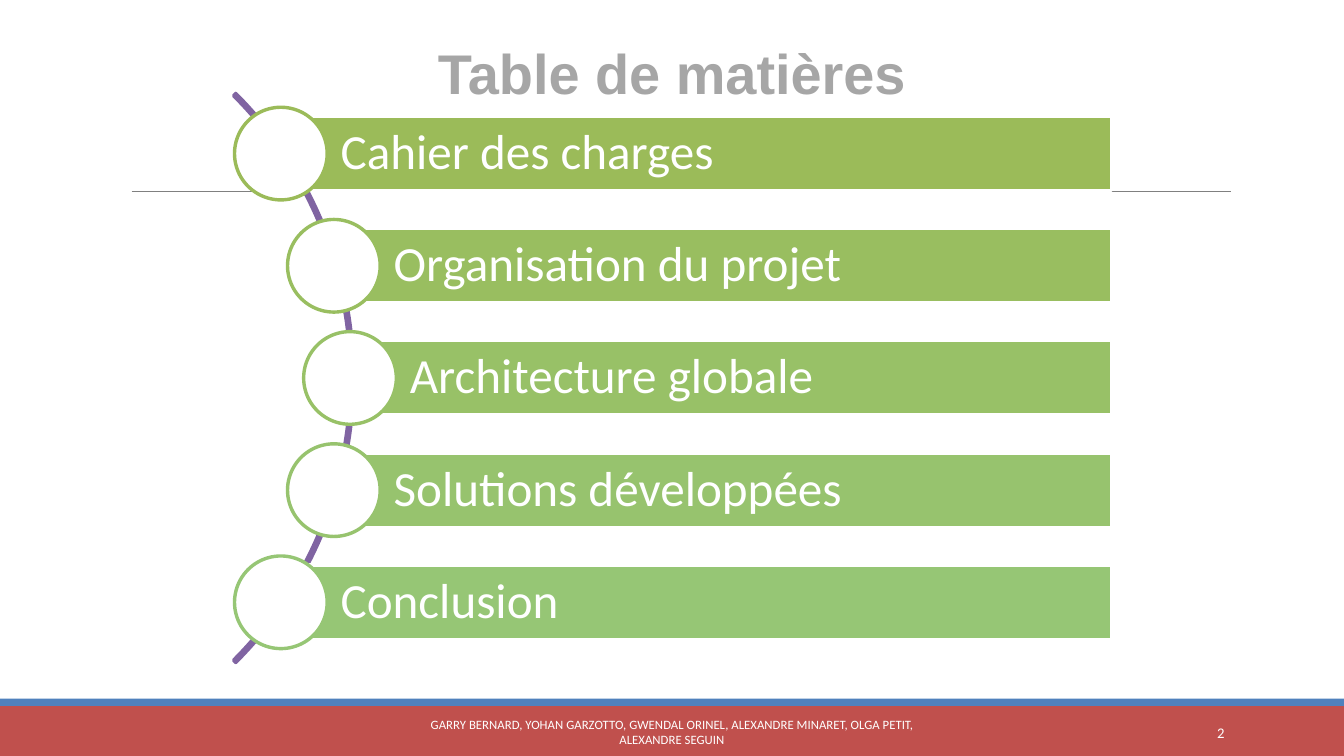
from math import sqrt

from pptx import Presentation
from pptx.dml.color import RGBColor
from pptx.enum.shapes import MSO_CONNECTOR, MSO_SHAPE
from pptx.enum.text import MSO_ANCHOR, PP_ALIGN
from pptx.oxml.ns import qn
from pptx.util import Inches, Pt

CELL = Inches(0.1)
COLS, ROWS = 110.2, 62
COLORS = {
    "white": "FFFFFF", "title": "A6A6A6", "rule": "808080", "arc": "8064A2",
    "footer": "C0504D", "stripe": "4F81BD",
    "item1": "9BBB59", "item2": "99BE60", "item3": "98C167",
    "item4": "97C36E", "item5": "96C675",
}
ITEMS = ["Cahier des charges", "Organisation du projet", "Architecture globale",
         "Solutions développées", "Conclusion"]
AUTHORS = ("GARRY BERNARD, YOHAN GARZOTTO, GWENDAL ORINEL, "
           "ALEXANDRE MINARET, OLGA PETIT, ALEXANDRE SEGUIN")
ARC_X, ARC_Y, ARC_RADIUS = -4, 31, 33
TRACK_RADIUS = 32.7
PITCH, BAR_HEIGHT, BAR_RIGHT, DIAMETER = 9.2, 6.1, 91.15, 7.6

TITLE = {"size": Pt(33), "name": "Arial", "bold": True}
ITEM = {"size": Pt(29), "name": "Calibri"}
NUMBER = {"size": Pt(8.7), "name": "Calibri"}
CREDITS = {"size": Pt(7.5), "name": "Calibri"}
ITEM_PARAGRAPH = {"alignment": PP_ALIGN.LEFT, "line_spacing": 0.9, "space_after": Pt(10.2)}


def cells(*values):
    return [round(v * CELL) for v in values]


def rgb(name):
    return RGBColor.from_string(COLORS[name])


def set_all(target, values):
    for key, value in values.items():
        setattr(target, key, value)


def write(sp, text, font, color, paragraph, insets):
    tf = sp.text_frame
    sides = ("margin_left", "margin_top", "margin_right", "margin_bottom")
    set_all(tf, {"word_wrap": True, "vertical_anchor": MSO_ANCHOR.MIDDLE})
    set_all(tf, dict(zip(sides, cells(*insets))))
    p = tf.paragraphs[0]
    set_all(p, paragraph)
    r = p.add_run()
    r.text = text
    set_all(r.font, font)
    r.font.color.rgb = rgb(color)


def add_shape(s, kind, box, fill=None, line=None):
    sp = s.shapes.add_shape(kind, *cells(*box))
    sp.shadow.inherit = False
    if fill:
        sp.fill.solid()
        sp.fill.fore_color.rgb = rgb(fill)
    else:
        sp.fill.background()
    if line:
        sp.line.color.rgb = rgb(line)
        sp.line.width = Pt(2)
    else:
        sp.line.fill.background()
    return sp


def add_text(s, box, text, font, color, align, insets):
    sp = s.shapes.add_textbox(*cells(*box))
    write(sp, text, font, color, {"alignment": align}, insets)


def add_rule(s, left, right, y):
    line = s.shapes.add_connector(MSO_CONNECTOR.STRAIGHT, *cells(left, y, right, y))
    line.line.color.rgb = rgb("rule")
    line.line.width = Pt(0.5)
    sp_pr = line._element.spPr
    sp_pr.append(sp_pr.makeelement(qn("a:effectLst"), {}))


def add_arc(s):
    size = 2 * ARC_RADIUS
    box = (ARC_X - ARC_RADIUS, ARC_Y - ARC_RADIUS, size, size)
    arc = add_shape(s, MSO_SHAPE.BLOCK_ARC, box, line="arc")
    for i, value in enumerate((189, 27, 0.004)):
        arc.adjustments[i] = value


def add_item(s, index, text):
    color = f"item{index + 1}"
    dy = (index - (len(ITEMS) - 1) / 2) * PITCH
    x = ARC_X + sqrt(TRACK_RADIUS ** 2 - dy ** 2)
    y = ARC_Y + dy
    bar = add_shape(s, MSO_SHAPE.RECTANGLE,
                    (x, y - BAR_HEIGHT / 2, BAR_RIGHT - x, BAR_HEIGHT), color, "white")
    write(bar, text, ITEM, "white", ITEM_PARAGRAPH, (4.9, 0.8, 0.8, 0.8))
    radius = DIAMETER / 2
    add_shape(s, MSO_SHAPE.OVAL, (x - radius, y - radius, DIAMETER, DIAMETER), "white", color)


def main():
    prs = Presentation()
    prs.slide_width, prs.slide_height = cells(COLS, ROWS)
    s = prs.slides.add_slide(prs.slide_layouts[6])
    add_rule(s, 10.8, 100.9, 15.7)
    add_shape(s, MSO_SHAPE.RECTANGLE, (0, 57.9, COLS, 4.1), "footer")
    add_shape(s, MSO_SHAPE.RECTANGLE, (0, 57.3, COLS, 0.6), "stripe")
    add_text(s, (5.5, 2.4, 99.2, 7.1), "Table de matières", TITLE, "title",
             PP_ALIGN.CENTER, (0, 0, 0, 0))
    add_arc(s)
    for i, text in enumerate(ITEMS):
        add_item(s, i, text)
    footer_insets = (1, 0.5, 1, 0.5)
    add_text(s, (89.5, 58.4, 11.9, 3.3), "2", NUMBER, "white", PP_ALIGN.RIGHT, footer_insets)
    add_text(s, (33.3, 58.4, 43.6, 3.3), AUTHORS, CREDITS, "white",
             PP_ALIGN.CENTER, footer_insets)
    prs.save("out.pptx")


if __name__ == "__main__":
    main()
